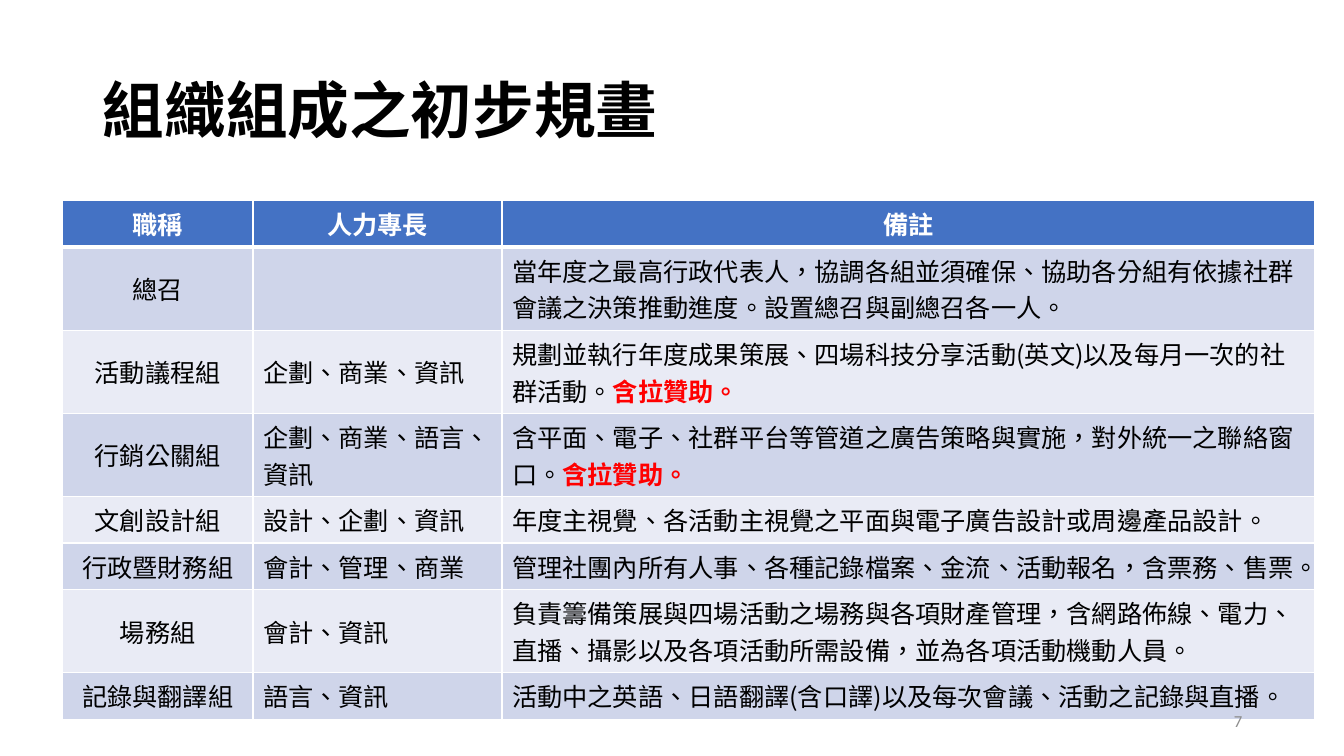
import pptx
import pptx.util
import pptx.dml.color
import pptx.enum.lang
import pptx.enum.text
import pptx.oxml.ns
import lxml.etree

PX = 9144
CJK_FONT = "Noto Sans CJK SC"
LATIN_FONT = "Calibri"
BLACK = pptx.dml.color.RGBColor(0, 0, 0)
WHITE = pptx.dml.color.RGBColor(255, 255, 255)
RED = pptx.dml.color.RGBColor(255, 0, 0)
GRAY = pptx.dml.color.RGBColor(0x8C, 0x8C, 0x8C)
BLUE = pptx.dml.color.RGBColor(0x44, 0x72, 0xC4)
BAND_DARK = pptx.dml.color.RGBColor(0xCF, 0xD5, 0xEA)
BAND_LIGHT = pptx.dml.color.RGBColor(0xE9, 0xEB, 0xF5)
ALIGN = pptx.enum.text.PP_ALIGN
ANCHOR = pptx.enum.text.MSO_ANCHOR

COLUMN_WIDTHS = [189, 247, 806]
ONE_LINE, TWO_LINES = 46, 82
HEADINGS = ["職稱", "人力專長", "備註"]
SPONSORSHIP = "含拉贊助。"
TEAMS = [
    (TWO_LINES, "總召", "", ["當年度之最高行政代表人，協調各組並須確保、協助各分組有依據社群會議之決策推動進度。設置總召與副總召各一人。"]),
    (TWO_LINES, "活動議程組", "企劃、商業、資訊", ["規劃並執行年度成果策展、四場科技分享活動(英文)以及每月一次的社群活動。", SPONSORSHIP]),
    (TWO_LINES, "行銷公關組", "企劃、商業、語言、資訊", ["含平面、電子、社群平台等管道之廣告策略與實施，對外統一之聯絡窗口。", SPONSORSHIP]),
    (ONE_LINE, "文創設計組", "設計、企劃、資訊", ["年度主視覺、各活動主視覺之平面與電子廣告設計或周邊產品設計。"]),
    (ONE_LINE, "行政暨財務組", "會計、管理、商業", ["管理社團內所有人事、各種記錄檔案、金流、活動報名，含票務、售票。"]),
    (TWO_LINES, "場務組", "會計、資訊", ["負責籌備策展與四場活動之場務與各項財產管理，含網路佈線、電力、直播、攝影以及各項活動所需設備，並為各項活動機動人員。"]),
    (ONE_LINE, "記錄與翻譯組", "語言、資訊", ["活動中之英語、日語翻譯(含口譯)以及每次會議、活動之記錄與直播。"]),
]


def format_span(span, size, color, bold=False, font=CJK_FONT):
    """Set the size, colour, weight and typeface of one run."""
    span.font.size = pptx.util.Pt(size)
    span.font.bold = bold
    span.font.color.rgb = color
    span.font.name = font
    if font == CJK_FONT:
        span.font.language_id = pptx.enum.lang.MSO_LANGUAGE_ID.TRADITIONAL_CHINESE
        latin = span.font._element.find(pptx.oxml.ns.qn("a:latin"))
        east_asian = lxml.etree.Element(pptx.oxml.ns.qn("a:ea"), typeface=font)
        latin.addnext(east_asian)


def set_borders(cell, top, bottom):
    """Give a cell white borders, with top and bottom widths in points."""
    properties = cell._tc.get_or_add_tcPr()
    for side, width in (("L", 1), ("R", 1), ("T", top), ("B", bottom)):
        line = lxml.etree.SubElement(
            properties, pptx.oxml.ns.qn("a:ln" + side), w=str(pptx.util.Pt(width)))
        fill = lxml.etree.SubElement(line, pptx.oxml.ns.qn("a:solidFill"))
        lxml.etree.SubElement(fill, pptx.oxml.ns.qn("a:srgbClr"), val=str(WHITE))


def fill_cell(cell, texts, background, color, bold, align, anchor):
    """Write the texts as runs of one paragraph on a coloured cell."""
    cell.fill.solid()
    cell.fill.fore_color.rgb = background
    cell.vertical_anchor = anchor
    para = cell.text_frame.paragraphs[0]
    para.alignment = align
    for text in filter(None, texts):
        span = para.add_run()
        span.text = text
        highlighted = text == SPONSORSHIP
        format_span(span, 18, RED if highlighted else color, bold or highlighted)


def add_title(page, left, top, width, height):
    """Place the page title in the given box."""
    title = page.shapes.title
    title.left, title.top = left * PX, top * PX
    title.width, title.height = width * PX, height * PX
    frame = title.text_frame
    frame.text = "組織組成之初步規畫"
    frame.auto_size = pptx.enum.text.MSO_AUTO_SIZE.NONE
    frame.vertical_anchor = ANCHOR.MIDDLE
    para = frame.paragraphs[0]
    para.alignment = ALIGN.LEFT
    para.line_spacing = 0.9
    format_span(para.runs[0], 44, BLACK, True)


def add_team_table(page, left, top):
    """Place the table of teams with its corner at the given point."""
    heights = [ONE_LINE] + [team[0] for team in TEAMS]
    table = page.shapes.add_table(
        len(heights), len(COLUMN_WIDTHS), left * PX, top * PX,
        sum(COLUMN_WIDTHS) * PX, sum(heights) * PX).table
    for column, width in zip(table.columns, COLUMN_WIDTHS):
        column.width = width * PX
    for row, height in zip(table.rows, heights):
        row.height = height * PX
    for index, heading in enumerate(HEADINGS):
        cell = table.cell(0, index)
        set_borders(cell, 1, 3)
        fill_cell(cell, [heading], BLUE, WHITE, True, ALIGN.CENTER, ANCHOR.TOP)
    for number, (_, name, skills, remarks) in enumerate(TEAMS, 1):
        background = BAND_DARK if number % 2 else BAND_LIGHT
        columns = [
            ([name], ALIGN.CENTER, ANCHOR.MIDDLE),
            ([skills], ALIGN.LEFT, ANCHOR.MIDDLE),
            (remarks, ALIGN.LEFT, ANCHOR.TOP),
        ]
        for index, (texts, align, anchor) in enumerate(columns):
            cell = table.cell(number, index)
            set_borders(cell, 3 if number == 1 else 1, 1)
            fill_cell(cell, texts, background, BLACK, False, align, anchor)


def add_page_number(page, left, top, width, height):
    """Place the page number in the given box."""
    box = page.shapes.add_textbox(left * PX, top * PX, width * PX, height * PX)
    frame = box.text_frame
    frame.word_wrap = True
    frame.vertical_anchor = ANCHOR.MIDDLE
    frame.text = "7"
    para = frame.paragraphs[0]
    para.alignment = ALIGN.RIGHT
    format_span(para.runs[0], 12, GRAY, font=LATIN_FONT)


def main():
    """Build the deck and save it."""
    deck = pptx.Presentation()
    deck.slide_width, deck.slide_height = 1333 * PX, 750 * PX
    page = deck.slides.add_slide(deck.slide_layouts[5])
    add_title(page, 92, 40, 1150, 145)
    add_team_table(page, 62, 199)
    add_page_number(page, 942, 695, 300, 40)
    deck.save("out.pptx")


if __name__ == "__main__":
    main()
